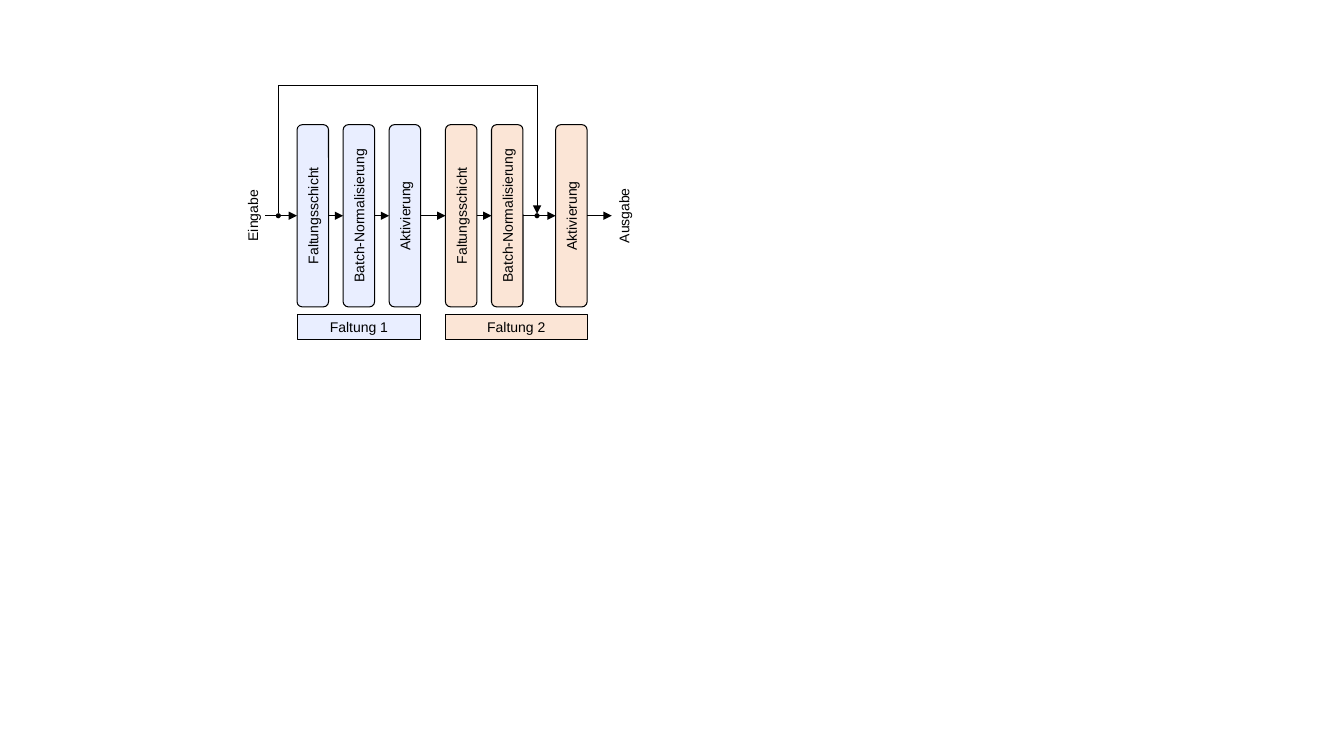
from dataclasses import dataclass
from typing import Optional

from lxml.etree import SubElement
from pptx import Presentation
from pptx.dml.color import RGBColor
from pptx.enum.shapes import MSO_CONNECTOR, MSO_SHAPE
from pptx.enum.text import MSO_ANCHOR, PP_ALIGN
from pptx.oxml.ns import qn
from pptx.shapes.autoshape import Shape
from pptx.shapes.connector import Connector
from pptx.slide import Slide
from pptx.util import Pt


@dataclass(frozen=True)
class Theme:
    """Colours, type and line weights of the diagram."""
    ink: str = "000000"
    paper: str = "FFFFFF"
    blue: str = "E9EEFF"
    orange: str = "FBE5D6"
    font: str = "Arial"
    text_size: float = 10
    outline: float = 0.75
    arrow: float = 0.5


@dataclass(frozen=True)
class Layer:
    """One upright layer box."""
    text: str
    left: float


@dataclass(frozen=True)
class Block:
    """A convolution block: its caption, colour and layers."""
    caption: str
    fill: str
    layers: tuple[Layer, ...]


THEME = Theme()
FLOW_Y = 154.1
LAYER_WIDTH, LAYER_HEIGHT = 22.5, 130.2
LAYER_STEP = 32.9
CAPTION_TOP, CAPTION_HEIGHT = 224.4, 18
BLUE_LEFT, ORANGE_LEFT, LAST_LEFT = 212.2, 318.2, 396.9
INPUT_X, OUTPUT_X = 180.4, 445.6
LABEL_LENGTH, LABEL_HEIGHT = 108, 17.6
INPUT_END, OUTPUT_START = 189.4, 437
BRANCH_X, MERGE_X, SKIP_Y = 198.8, 383.6, 59.6
DOT_SIZE = 3.6
SKIP_START_Y, SKIP_DROP = 152, 0.72
BLOCKS = (
    Block("Faltung 1", THEME.blue, (
        Layer("Faltungsschicht", BLUE_LEFT),
        Layer("Batch-Normalisierung", BLUE_LEFT + LAYER_STEP),
        Layer("Aktivierung", BLUE_LEFT + 2 * LAYER_STEP),
    )),
    Block("Faltung 2", THEME.orange, (
        Layer("Faltungsschicht", ORANGE_LEFT),
        Layer("Batch-Normalisierung", ORANGE_LEFT + LAYER_STEP),
        Layer("Aktivierung", LAST_LEFT),
    )),
)


def write_text(shape: Shape, text: str, *, inset: float = 0) -> None:
    """Write one centred paragraph in the diagram's type."""
    frame = shape.text_frame
    frame.word_wrap = True
    frame.vertical_anchor = MSO_ANCHOR.MIDDLE
    frame.margin_left = frame.margin_right = Pt(inset)
    frame.margin_top = frame.margin_bottom = Pt(inset)
    paragraph = frame.paragraphs[0]
    paragraph.alignment = PP_ALIGN.CENTER
    run = paragraph.add_run()
    run.text = text
    run.font.name = THEME.font
    run.font.size = Pt(THEME.text_size)
    run.font.color.rgb = RGBColor.from_string(THEME.ink)


def add_box(slide: Slide, kind: MSO_SHAPE, center_x: float, center_y: float,
            width: float, height: float, *, fill: Optional[str] = None,
            outlined: bool = False, rotation: float = 0) -> Shape:
    """Add a preset shape around its centre."""
    shape = slide.shapes.add_shape(kind, Pt(center_x - width / 2), Pt(center_y - height / 2),
                                   Pt(width), Pt(height))
    shape.shadow.inherit = False
    shape.rotation = rotation
    if fill:
        shape.fill.solid()
        shape.fill.fore_color.rgb = RGBColor.from_string(fill)
    else:
        shape.fill.background()
    if outlined:
        shape.line.color.rgb = RGBColor.from_string(THEME.ink)
        shape.line.width = Pt(THEME.outline)
    else:
        shape.line.fill.background()
    return shape


def add_arrow(slide: Slide, kind: MSO_CONNECTOR, start: tuple[float, float],
              end: tuple[float, float]) -> Connector:
    """Add a thin connector with a triangle at its end."""
    connector = slide.shapes.add_connector(kind, Pt(start[0]), Pt(start[1]), Pt(end[0]), Pt(end[1]))
    connector.line.color.rgb = RGBColor.from_string(THEME.ink)
    connector.line.width = Pt(THEME.arrow)
    SubElement(connector.line._get_or_add_ln(), qn("a:tailEnd"), type="triangle")
    SubElement(connector._element.spPr, qn("a:effectLst"))
    return connector


def add_flow_arrow(slide: Slide, start_x: float, end_x: float) -> None:
    """Add a horizontal arrow on the flow line."""
    add_arrow(slide, MSO_CONNECTOR.STRAIGHT, (start_x, FLOW_Y), (end_x, FLOW_Y))


def add_skip_connection(slide: Slide) -> None:
    """Add the elbow arrow that passes over both blocks."""
    center_x, span = (BRANCH_X + MERGE_X) / 2, MERGE_X - BRANCH_X
    center_y = SKIP_START_Y + SKIP_DROP / 2
    connector = add_arrow(slide, MSO_CONNECTOR.ELBOW,
                          (center_x + SKIP_DROP / 2, center_y - span / 2),
                          (center_x - SKIP_DROP / 2, center_y + span / 2))
    connector.rotation = 270
    bend = round((SKIP_Y - SKIP_START_Y) / SKIP_DROP * 100000)
    adjustments = connector._element.spPr.find(qn("a:prstGeom")).find(qn("a:avLst"))
    SubElement(adjustments, qn("a:gd"), name="adj1", fmla=f"val {bend}")


def add_block(slide: Slide, block: Block) -> None:
    """Add the layers of a block and its caption bar."""
    for layer in block.layers:
        shape = add_box(slide, MSO_SHAPE.ROUNDED_RECTANGLE, layer.left + LAYER_WIDTH / 2, FLOW_Y,
                        LAYER_HEIGHT, LAYER_WIDTH, fill=block.fill, outlined=True, rotation=270)
        write_text(shape, layer.text, inset=2.88)
    left, right = block.layers[0].left, block.layers[-1].left + LAYER_WIDTH
    caption = add_box(slide, MSO_SHAPE.RECTANGLE, (left + right) / 2,
                      CAPTION_TOP + CAPTION_HEIGHT / 2, right - left, CAPTION_HEIGHT,
                      fill=block.fill, outlined=True)
    write_text(caption, block.caption)


def add_end_label(slide: Slide, text: str, center_x: float, fill: Optional[str] = None) -> None:
    """Add an upright label at one end of the flow."""
    shape = add_box(slide, MSO_SHAPE.RECTANGLE, center_x, FLOW_Y, LABEL_LENGTH, LABEL_HEIGHT,
                    fill=fill, rotation=270)
    write_text(shape, text)


def main() -> None:
    """Build the residual block diagram and save it."""
    presentation = Presentation()
    presentation.slide_width, presentation.slide_height = Pt(960), Pt(540)
    slide = presentation.slides.add_slide(presentation.slide_layouts[6])
    for block in BLOCKS:
        add_block(slide, block)
    add_end_label(slide, "Eingabe", INPUT_X)
    add_end_label(slide, "Ausgabe", OUTPUT_X, THEME.paper)
    lefts = [layer.left for block in BLOCKS for layer in block.layers]
    starts = [INPUT_END] + [left + LAYER_WIDTH for left in lefts]
    for start_x, end_x in zip(starts, lefts + [OUTPUT_START]):
        add_flow_arrow(slide, start_x, end_x)
    add_skip_connection(slide)
    for dot_x in (BRANCH_X, MERGE_X):
        add_box(slide, MSO_SHAPE.OVAL, dot_x, FLOW_Y, DOT_SIZE, DOT_SIZE, fill=THEME.ink)
    presentation.save("out.pptx")


main()
